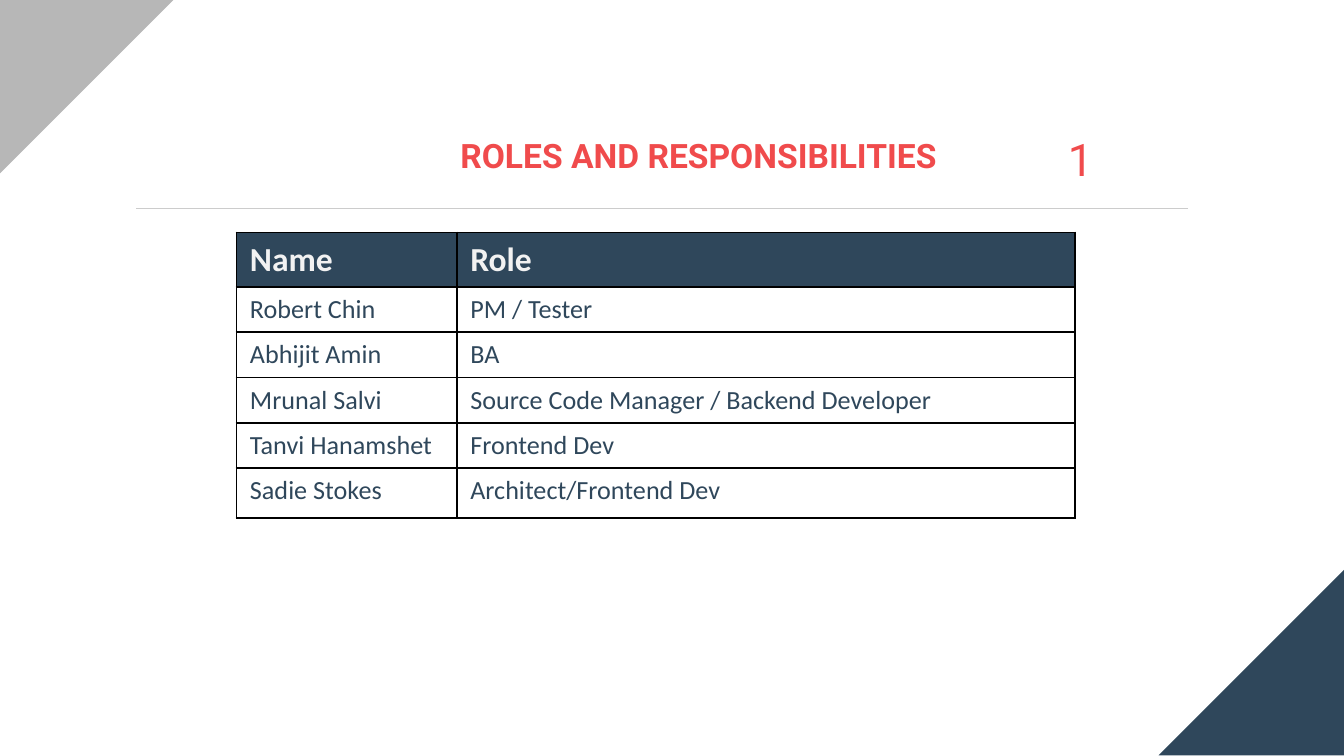
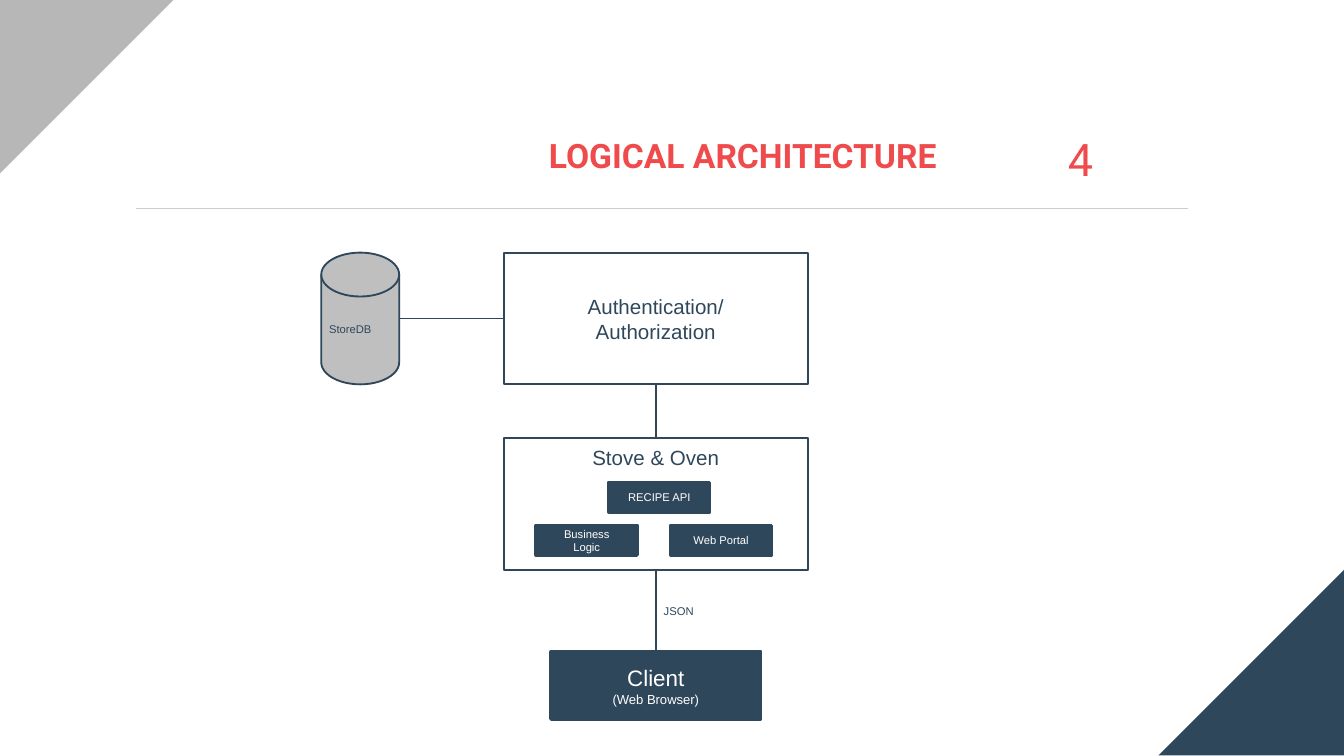
import dataclasses

import lxml.etree
import pptx
import pptx.dml.color
import pptx.enum.shapes
import pptx.enum.text
import pptx.oxml.ns
import pptx.util

Inches = pptx.util.Inches
Pt = pptx.util.Pt
RGB = pptx.dml.color.RGBColor.from_string
Shape = pptx.enum.shapes.MSO_SHAPE
Align = pptx.enum.text.PP_ALIGN
Anchor = pptx.enum.text.MSO_ANCHOR
AutoSize = pptx.enum.text.MSO_AUTO_SIZE
qn = pptx.oxml.ns.qn


@dataclasses.dataclass(frozen=True)
class Theme:
    navy: str = "2F475B"
    red: str = "F04B4C"
    corner_gray: str = "B7B7B7"
    disk_gray: str = "BFBFBF"
    rule_gray: str = "CCCCCC"
    pale: str = "F2F2F2"
    white: str = "FFFFFF"
    black: str = "000000"
    heading_font: str = "Roboto"
    table_font: str = "Calibri"
    diagram_font: str = "Arial"
    title_size: int = 18
    number_size: int = 24
    cell_size: int = 14
    client_size: int = 12
    box_size: int = 11
    detail_size: int = 7
    small_size: int = 6


theme = Theme()


def write(frame, text, size, color, font=theme.diagram_font, bold=False, align=Align.CENTER,
          anchor=Anchor.MIDDLE, inset=0.05, detail_size=None, fit=AutoSize.NONE):
    """Fill a text frame, one paragraph per line; later lines may take detail_size."""
    frame.word_wrap = True
    frame.auto_size = fit
    frame.vertical_anchor = anchor
    frame.margin_left = frame.margin_right = Inches(0.1)
    frame.margin_top = frame.margin_bottom = Inches(inset)
    for index, line in enumerate(text.split("\n")):
        para = frame.add_paragraph() if index else frame.paragraphs[0]
        para.alignment = align
        span = para.add_run()
        span.text = line
        span.font.name = font
        span.font.size = Pt(detail_size if index and detail_size else size)
        span.font.bold = bold
        span.font.color.rgb = RGB(color)


def add_line(page, start, end, color):
    """Draw a thin straight connector without a shadow."""
    points = [Inches(value) for value in (*start, *end)]
    line = page.shapes.add_connector(pptx.enum.shapes.MSO_CONNECTOR.STRAIGHT, *points)
    line.line.color.rgb = RGB(color)
    line.line.width = Pt(0.75)
    lxml.etree.SubElement(line.element.spPr, qn("a:effectLst"))
    return line


# Widescreen deck, 16:9
deck = pptx.Presentation()
deck.slide_width = Inches(10)
deck.slide_height = deck.slide_width * 9 // 16

# Shared frame: title, rule, corners, number
title_right = 7.07
corners = [
    (8.62, 4.24, 1.38, 270, theme.navy),
    (0, 0, 1.29, 90, theme.corner_gray),
]
pages = []
for title, title_width, number in [
    ("ROLES AND RESPONSIBILITIES", 3.91, "1"),
    ("LOGICAL ARCHITECTURE", 3.31, "4"),
]:
    page = deck.slides.add_slide(deck.slide_layouts[5])
    pages.append(page)
    heading = page.shapes.title
    heading.left, heading.top = Inches(title_right - title_width), Inches(1)
    heading.width, heading.height = Inches(title_width), Inches(0.31)
    write(heading.text_frame, title, theme.title_size, theme.red, font=theme.heading_font,
          bold=True, align=Align.RIGHT, inset=0.1)
    add_line(page, (8.84, 1.55), (1.01, 1.55), theme.rule_gray)
    for left, top, side, turn, color in corners:
        corner = page.shapes.add_shape(Shape.RIGHT_TRIANGLE, Inches(left), Inches(top),
                                       Inches(side), Inches(side))
        corner.rotation = turn
        corner.shadow.inherit = False
        corner.fill.solid()
        corner.fill.fore_color.rgb = RGB(color)
        corner.line.fill.background()
    number_box = page.shapes.add_textbox(Inches(7.77), Inches(0.92), Inches(0.54), Inches(0.56))
    write(number_box.text_frame, number, theme.number_size, theme.red,
          font=theme.heading_font, anchor=Anchor.BOTTOM, inset=0.1)

roles_page, architecture_page = pages

# Roles table
roles = [
    ("Name", "Role"),
    ("Robert Chin", "PM / Tester"),
    ("Abhijit Amin", "BA"),
    ("Mrunal Salvi", "Source Code Manager / Backend Developer"),
    ("Tanvi Hanamshet", "Frontend Dev"),
    ("Sadie Stokes", "Architect/Frontend Dev"),
]
column_widths = [1.64, 4.6]
row_heights = [0.38, 0.32, 0.32, 0.32, 0.32, 0.37]
table = roles_page.shapes.add_table(
    len(roles), len(column_widths), Inches(1.76), Inches(1.73),
    Inches(sum(column_widths)), Inches(sum(row_heights))).table
table.horz_banding = False
for column, width in zip(table.columns, column_widths):
    column.width = Inches(width)
for row_index, (row, height) in enumerate(zip(table.rows, row_heights)):
    row.height = Inches(height)
    header = row_index == 0
    for cell, text in zip(row.cells, roles[row_index]):
        write(cell.text_frame, text,
              theme.title_size if header else theme.cell_size,
              theme.pale if header else theme.navy,
              font=theme.table_font, bold=header, align=Align.LEFT, anchor=Anchor.TOP)
        cell.vertical_anchor = Anchor.TOP
        properties = cell._tc.get_or_add_tcPr()
        for edge in ("a:lnL", "a:lnR", "a:lnT", "a:lnB"):
            border = lxml.etree.SubElement(properties, qn(edge), w=str(Pt(1)))
            paint = lxml.etree.SubElement(border, qn("a:solidFill"))
            lxml.etree.SubElement(paint, qn("a:srgbClr"), val=theme.black)
        cell.fill.solid()
        cell.fill.fore_color.rgb = RGB(theme.navy if header else theme.white)

# Architecture boxes
outlined = {"size": theme.box_size, "color": theme.navy}
small = {"size": theme.small_size, "color": theme.white}
client = {"size": theme.client_size, "color": theme.white, "detail_size": theme.detail_size}
disk, rect = Shape.FLOWCHART_MAGNETIC_DISK, Shape.RECTANGLE
boxes = {}
for name, preset, left, top, width, height, fill, weight, text, style in [
    ("database", disk, 2.39, 1.88, 0.58, 0.98, theme.disk_gray, 1, "", {}),
    ("access", rect, 3.75, 1.88, 2.26, 0.98, theme.white, 1,
     "Authentication/\nAuthorization", outlined),
    ("server", rect, 3.75, 3.26, 2.26, 0.98, theme.white, 1,
     "Stove & Oven", {**outlined, "anchor": Anchor.TOP}),
    ("client", rect, 4.1, 4.85, 1.56, 0.5, theme.navy, 2, "Client\n(Web Browser)", client),
    ("logic", rect, 3.99, 3.91, 0.75, 0.22, theme.navy, 2, "Business Logic", small),
    ("portal", rect, 4.99, 3.91, 0.75, 0.22, theme.navy, 2, "Web Portal", small),
    ("api", rect, 4.53, 3.59, 0.75, 0.22, theme.navy, 2, "RECIPE API", small),
]:
    box = architecture_page.shapes.add_shape(preset, Inches(left), Inches(top),
                                             Inches(width), Inches(height))
    box.shadow.inherit = False
    box.fill.solid()
    box.fill.fore_color.rgb = RGB(fill)
    box.line.color.rgb = RGB(theme.navy)
    box.line.width = Pt(weight)
    if text:
        write(box.text_frame, text, **style)
    boxes[name] = box

# Architecture links
database_link = add_line(architecture_page, (2.97, 2.37), (3.75, 2.37), theme.navy)
database_link.end_connect(boxes["access"], 1)
for lower, upper, start, end in [
    ("server", "access", 3.26, 2.86),
    ("client", "server", 4.85, 4.24),
]:
    link = add_line(architecture_page, (4.88, start), (4.88, end), theme.navy)
    link.begin_connect(boxes[lower], 0)
    link.end_connect(boxes[upper], 2)

# Architecture labels
for text, left, top in [("StoreDB", 2.35, 2.35), ("JSON", 4.84, 4.45)]:
    label = architecture_page.shapes.add_textbox(Inches(left), Inches(top),
                                                 Inches(0.69), Inches(0.2))
    write(label.text_frame, text, theme.small_size, theme.navy, align=Align.LEFT,
          anchor=Anchor.TOP, fit=AutoSize.SHAPE_TO_FIT_TEXT)

deck.save("out.pptx")
